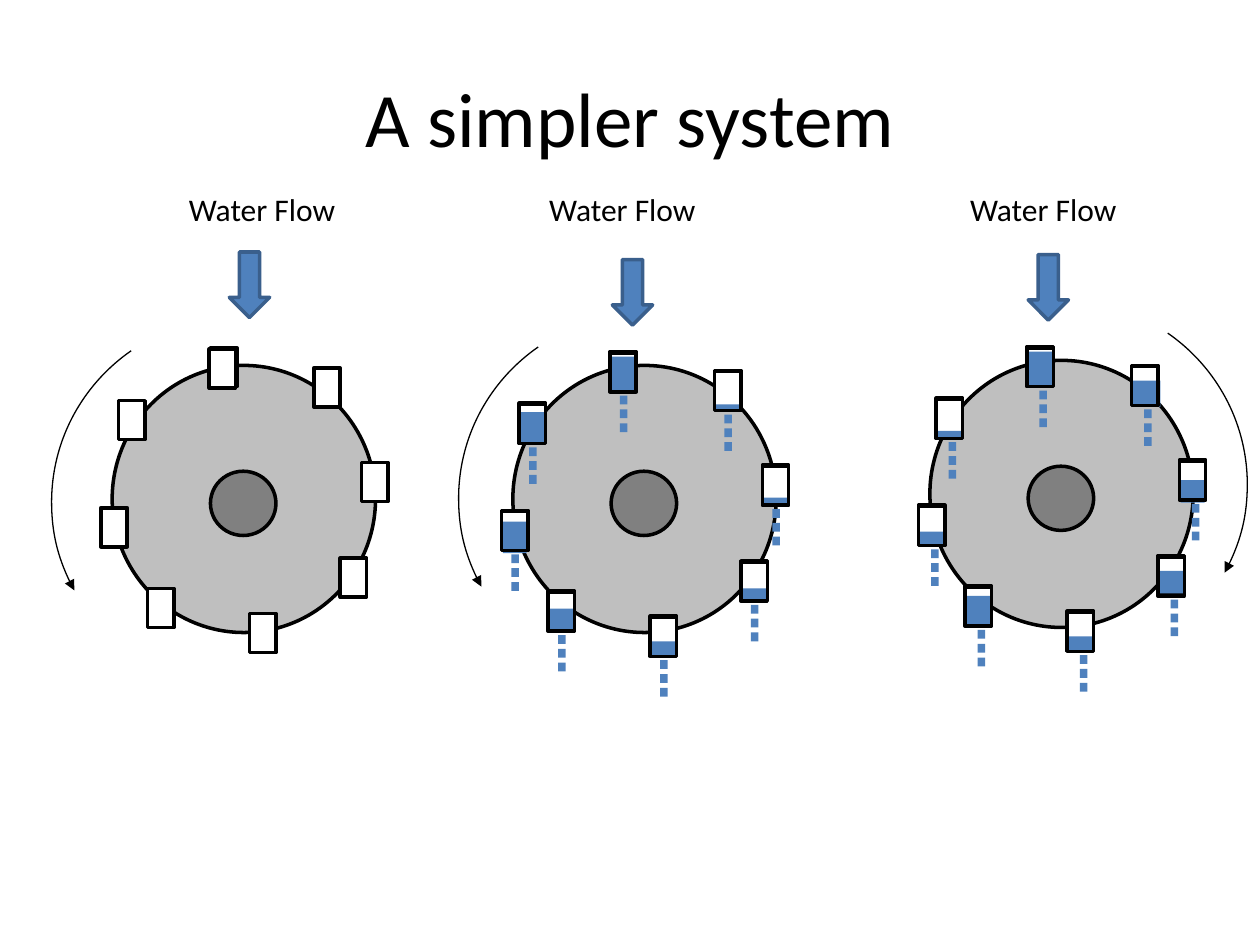
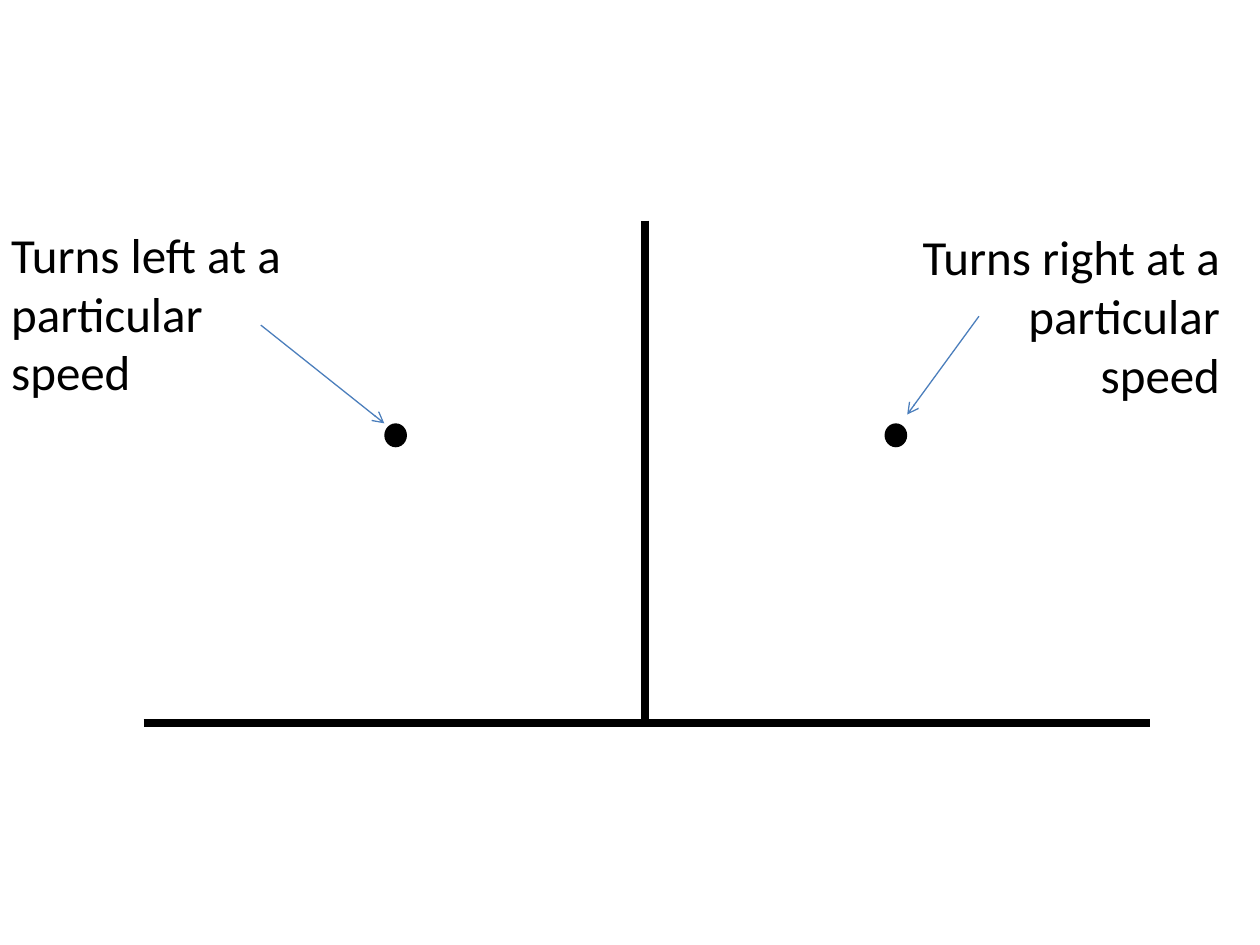
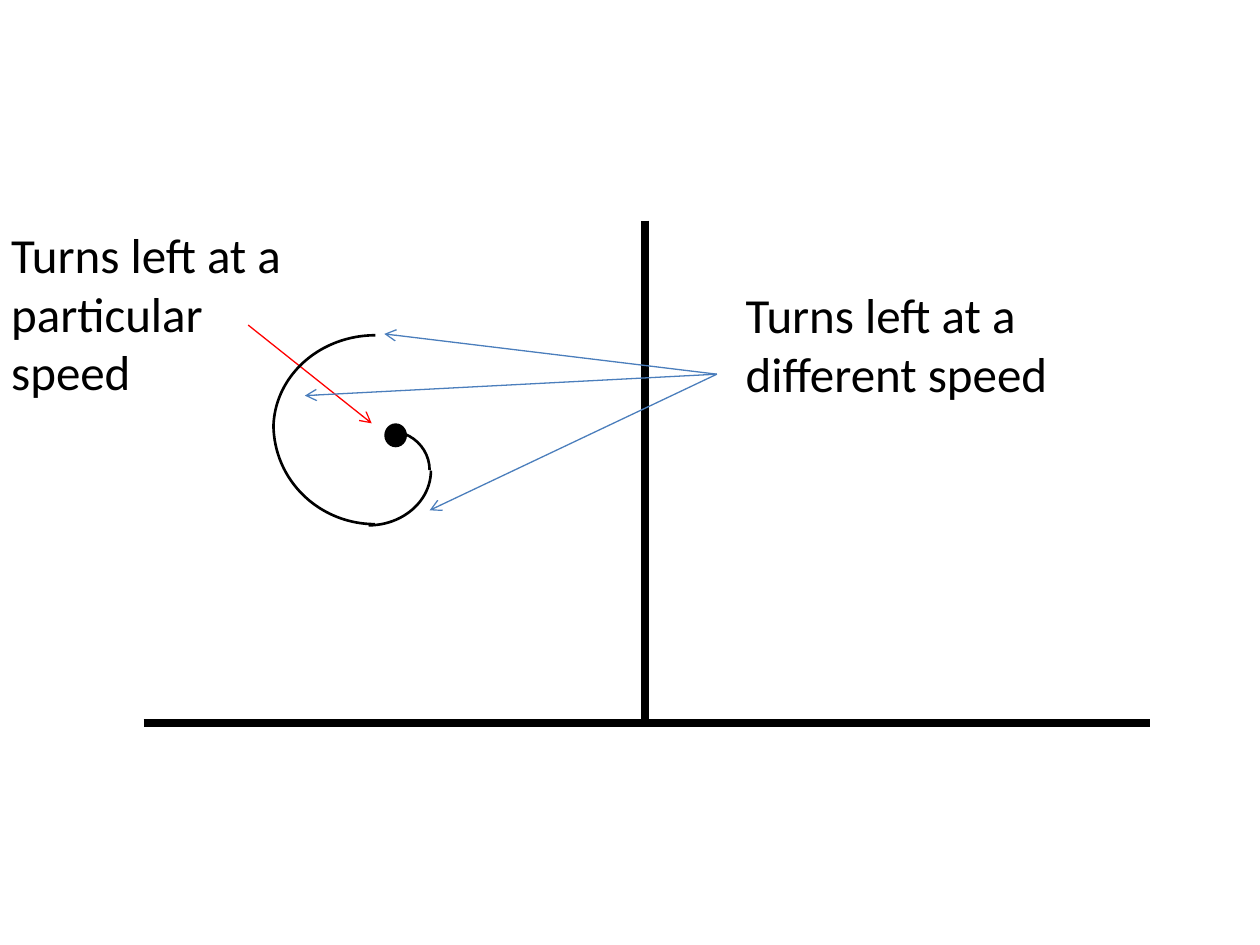
from dataclasses import dataclass

from lxml import etree
from pptx import Presentation
from pptx.dml.color import RGBColor
from pptx.enum.shapes import MSO_CONNECTOR, MSO_SHAPE
from pptx.enum.text import MSO_ANCHOR, MSO_AUTO_SIZE, PP_ALIGN
from pptx.oxml.ns import qn
from pptx.util import Emu, Pt

ARC, OVAL, RECT = MSO_SHAPE.ARC, MSO_SHAPE.OVAL, MSO_SHAPE.RECTANGLE
DOWN_ARROW = MSO_SHAPE.DOWN_ARROW
STRAIGHT = MSO_CONNECTOR.STRAIGHT
LEFT, CENTER, RIGHT = PP_ALIGN.LEFT, PP_ALIGN.CENTER, PP_ALIGN.RIGHT
TOP, MIDDLE = MSO_ANCHOR.TOP, MSO_ANCHOR.MIDDLE
FIT, FIXED = MSO_AUTO_SIZE.SHAPE_TO_FIT_TEXT, MSO_AUTO_SIZE.NONE

EMU_PER_PX = 9144  # 100 px to the inch
BLANK_LAYOUT = 6


@dataclass(frozen=True)
class Theme:
    font: str = "Calibri"
    ink: str = "000000"
    paper: str = "FFFFFF"
    disc: str = "BFBFBF"
    hub: str = "808080"
    water: str = "4F81BD"
    flow_edge: str = "3A5F8C"
    pointer: str = "4B7EBC"
    highlight: str = "FF0000"
    title_size: int = 44
    note_size: int = 28
    label_size: int = 18
    thin: float = 0.75
    curve: float = 1.5
    outline: float = 2
    axis: float = 4.5


def px(value):
    return Emu(value * EMU_PER_PX)


def rgb(color):
    return RGBColor.from_string(color)


def write_text(frame, text, *, font, size, color, align=LEFT, anchor=TOP,
               wrap=True, fit=FIT):
    frame.word_wrap = wrap
    frame.auto_size = fit
    frame.vertical_anchor = anchor
    paragraph = frame.paragraphs[0]
    paragraph.alignment = align
    run = paragraph.add_run()
    run.text = text
    run.font.name = font
    run.font.size = Pt(size)
    run.font.color.rgb = rgb(color)


class Deck:
    def __init__(self, theme):
        self.theme = theme
        self.prs = Presentation()
        self.prs.slide_width, self.prs.slide_height = px(1000), px(750)
        self.slide = None

    def new_slide(self):
        self.slide = self.prs.slides.add_slide(self.prs.slide_layouts[BLANK_LAYOUT])

    def text(self, text, x, y, w, h, size, **style):
        box = self.slide.shapes.add_textbox(px(x), px(y), px(w), px(h))
        write_text(box.text_frame, text, font=self.theme.font, size=size,
                   color=self.theme.ink, **style)

    def shape(self, preset, x, y, w, h, fill=None, line=None, width=None):
        shape = self.slide.shapes.add_shape(preset, px(x), px(y), px(w), px(h))
        shape.shadow.inherit = False
        if fill:
            shape.fill.solid()
            shape.fill.fore_color.rgb = rgb(fill)
        else:
            shape.fill.background()
        if line:
            shape.line.color.rgb = rgb(line)
            shape.line.width = Pt(width or self.theme.outline)
        else:
            shape.line.fill.background()
        return shape

    def arc(self, x, y, w, h, width, rotation=0, degrees=None, head=None, flip=False):
        arc = self.shape(ARC, x, y, w, h, line=self.theme.ink, width=width)
        arc.rotation = rotation
        if degrees:
            for index, angle in enumerate(degrees):
                arc.adjustments[index] = angle * 0.6  # 60000ths of a degree / 100000
        if head:
            self.line_end(arc, "a:headEnd", head)
        if flip:
            arc._element.spPr.find(qn("a:xfrm")).set("flipH", "1")

    def line(self, start, end, color, width, tail=None):
        line = self.slide.shapes.add_connector(
            STRAIGHT, *(px(value) for value in (*start, *end)))
        line.line.color.rgb = rgb(color)
        line.line.width = Pt(width)
        if tail:
            self.line_end(line, "a:tailEnd", tail)
        etree.SubElement(line._element.spPr, qn("a:effectLst"))

    def pointer(self, start, end, color=None):
        self.line(start, end, color or self.theme.pointer, self.theme.thin, "arrow")

    @staticmethod
    def line_end(shape, tag, kind):
        etree.SubElement(shape.line._get_or_add_ln(), qn(tag), type=kind)


# Water wheels
BUCKET_W, BUCKET_H = 21, 31
# Bucket corners from the disc corner, counter-clockwise from upper left
BUCKETS = [(5, 30), (-9, 115), (28, 179), (109, 199),
           (181, 155), (198, 79), (160, 4), (77, -11)]


@dataclass(frozen=True)
class Wheel:
    disc: tuple
    label_x: int
    flow: tuple
    turn: tuple
    clockwise: bool = False
    bucket_dy: int = 0
    drip_dx: int = 0
    water: tuple = ()  # per bucket: width, height, depth below the bucket


WHEELS = [
    Wheel(disc=(89, 290), label_x=140, flow=(182, 200), turn=(41, 252), bucket_dy=-2),
    Wheel(disc=(407, 290), label_x=426, flow=(486, 206), turn=(364, 249), drip_dx=8,
          water=((21, 25, 1), (19, 25, 3), (19, 18, 1), (19, 12, 1),
                 (19, 10, 1), (19, 5, 0), (19, 5, 1), (21, 27, 0))),
    Wheel(disc=(738, 286), label_x=760, flow=(816, 202), turn=(694, 238),
          clockwise=True, drip_dx=10,
          water=((19, 5, 0), (19, 10, 0), (19, 24, 1), (19, 12, 1),
                 (19, 18, -1), (19, 18, 3), (22, 21, 2), (21, 27, 0))),
]


def draw_wheel(deck, wheel):
    theme = deck.theme
    left, top = wheel.disc
    buckets = [(left + dx, top + dy + wheel.bucket_dy) for dx, dy in BUCKETS]

    # Disc, hub and empty buckets
    deck.shape(OVAL, left, top, 209, 212, theme.disc, theme.ink)
    deck.shape(OVAL, left + 78, top + 84, 52, 51, theme.hub, theme.ink)
    if not wheel.water:
        x, y = buckets[-1]
        deck.shape(RECT, x + 1, y - 1, BUCKET_W, BUCKET_H, theme.paper, theme.ink)
    for x, y in buckets:
        deck.shape(RECT, x, y, BUCKET_W, BUCKET_H, theme.paper, theme.ink)

    # Water, bucket rims and drips
    for (x, y), (width, height, depth) in zip(buckets, wheel.water):
        deck.shape(RECT, x + 1, y + BUCKET_H + depth - height, width, height, theme.water)
        deck.shape(RECT, x, y + 1, BUCKET_W, BUCKET_H, line=theme.ink)
        for drop in range(3):
            deck.shape(RECT, x + wheel.drip_dx, y + 35 + 11 * drop, 6, 7, theme.water)

    # Direction of turn and incoming flow
    deck.arc(*wheel.turn, 296, 293, theme.thin, degrees=(151.65, 234.75),
             head="triangle", flip=wheel.clockwise)
    deck.shape(DOWN_ARROW, *wheel.flow, 32, 52, theme.water, theme.flow_edge)
    deck.text("Water Flow", wheel.label_x, 146, 138, 40, theme.label_size, wrap=False)


# Turning diagrams
def draw_axes(deck):
    deck.line((114, 574), (913, 574), deck.theme.ink, deck.theme.axis)
    deck.line((512, 175), (512, 574), deck.theme.ink, deck.theme.axis)


def draw_point(deck, x):
    deck.shape(OVAL, x, 336, 18, 19, deck.theme.ink)


def draw_left_turn(deck):
    draw_axes(deck)
    draw_point(deck, 305)
    deck.text("Turns left at a particular speed", -1, 173, 275, 152, deck.theme.note_size)


def wheels_slide(deck):
    deck.new_slide()
    deck.text("A simpler system", 50, 30, 900, 125, deck.theme.title_size,
              align=CENTER, anchor=MIDDLE, fit=FIXED)
    for wheel in WHEELS:
        draw_wheel(deck, wheel)


def two_points_slide(deck):
    deck.new_slide()
    draw_left_turn(deck)
    draw_point(deck, 702)
    deck.text("Turns right at a particular speed", 710, 175, 268, 151,
              deck.theme.note_size, align=RIGHT)
    deck.pointer((207, 258), (305, 336))
    deck.pointer((777, 251), (720, 329))


def spiral_slide(deck):
    deck.new_slide()
    draw_left_turn(deck)
    deck.pointer((197, 258), (295, 336), deck.theme.highlight)

    # Spiral of quarter turns
    quarters = [(277, 342, 64, 62), (249, 324, 87, 99),
                (217, 258, 161, 158), (224, 259, 148, 162)]
    for turn, frame in enumerate(quarters):
        deck.arc(*frame, deck.theme.curve, rotation=90 * turn)

    # Points on the spiral
    deck.text("Turns left at a different speed", 582, 221, 275, 104, deck.theme.note_size)
    for target in ((305, 265), (242, 314), (341, 405)):
        deck.pointer((569, 297), target)


def main():
    deck = Deck(Theme())
    wheels_slide(deck)
    two_points_slide(deck)
    spiral_slide(deck)
    deck.prs.save("out.pptx")


if __name__ == "__main__":
    main()
